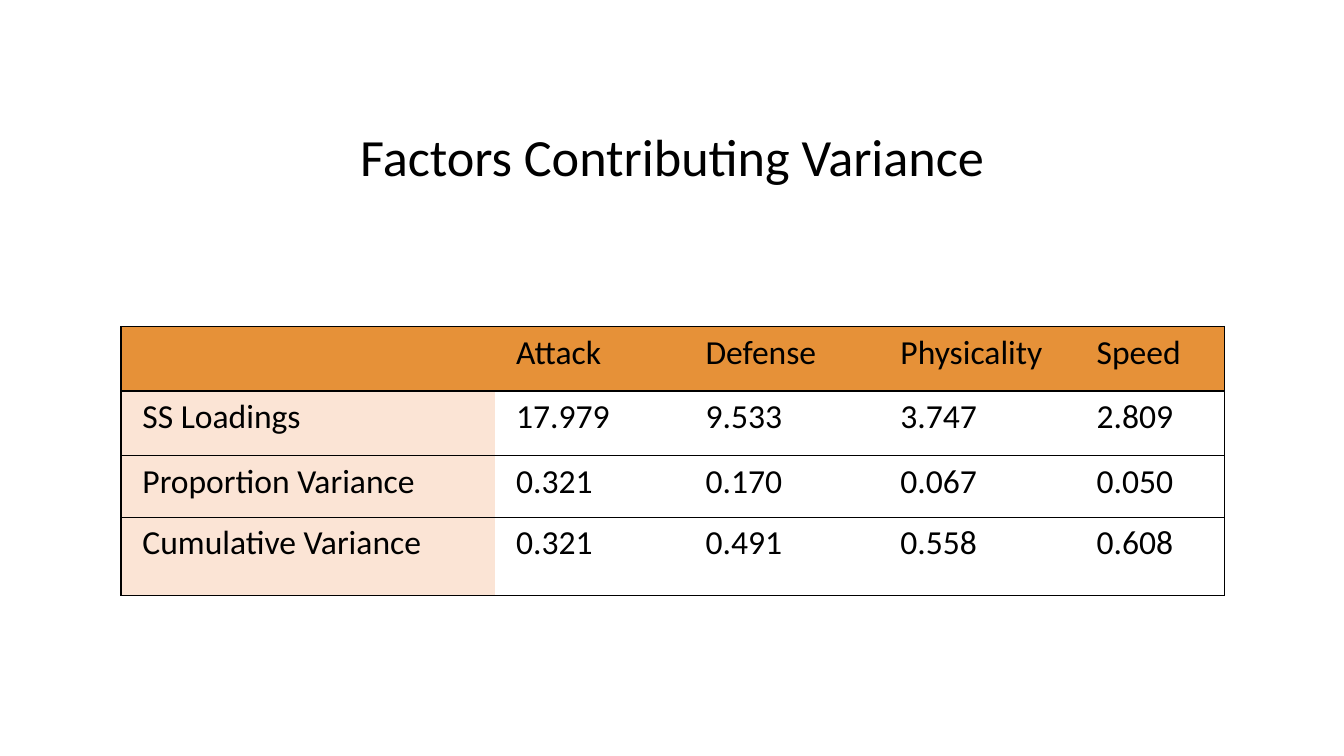
from dataclasses import dataclass

from lxml.etree import SubElement
from pptx import Presentation
from pptx.dml.color import RGBColor
from pptx.enum.text import MSO_ANCHOR, PP_ALIGN
from pptx.oxml.ns import qn
from pptx.util import Inches, Pt


@dataclass(frozen=True)
class Theme:
    font: str = "Calibri"
    title: int = 28
    body: int = 18
    line: int = 1
    ink: str = "000000"
    head: str = "E69138"
    label: str = "FBE4D5"


THEME = Theme()
COLS = [2.78, 1.41, 1.45, 1.46, 1.11]
ROWS = [0.48, 0.48, 0.46, 0.58]
DATA = [
    ["", "Attack", "Defense", "Physicality", "Speed"],
    ["SS Loadings", "17.979", "9.533", "3.747", "2.809"],
    ["Proportion Variance", "0.321", "0.170", "0.067", "0.050"],
    ["Cumulative Variance", "0.321", "0.491", "0.558", "0.608"],
]


def style(para, size, spacing):
    para.line_spacing = spacing
    para.font.name = THEME.font
    para.font.size = Pt(size)
    para.font.color.rgb = RGBColor.from_string(THEME.ink)


def inset(target, left, top, right, bottom):
    target.margin_left, target.margin_right = Inches(left), Inches(right)
    target.margin_top, target.margin_bottom = Inches(top), Inches(bottom)


def border(cell, sides):
    """Rule the given sides (of L, R, T, B) and clear the others."""
    props = cell._tc.get_or_add_tcPr()
    for side in "LRTB":
        line = SubElement(props, qn(f"a:ln{side}"), w=str(Pt(THEME.line)))
        if side in sides:
            fill = SubElement(line, qn("a:solidFill"))
            SubElement(fill, qn("a:srgbClr"), val=THEME.ink)
        else:
            SubElement(line, qn("a:noFill"))


def paint(cell, color):
    if color:
        cell.fill.solid()
        cell.fill.fore_color.rgb = RGBColor.from_string(color)
    else:
        cell.fill.background()


def add_title(slide, text, left, top, width, height):
    box = slide.shapes.add_textbox(
        Inches(left), Inches(top), Inches(width), Inches(height))
    frame = box.text_frame
    frame.word_wrap = True
    frame.vertical_anchor = MSO_ANCHOR.BOTTOM
    inset(frame, 0.07, 0.04, 0.07, 0.04)
    para = frame.paragraphs[0]
    para.text = text
    para.alignment = PP_ALIGN.CENTER
    style(para, THEME.title, 0.9)


def add_grid(slide, data, left, top):
    """Add the table, sized by the widths in COLS and heights in ROWS."""
    table = slide.shapes.add_table(
        len(ROWS), len(COLS), Inches(left), Inches(top),
        Inches(sum(COLS)), Inches(sum(ROWS))).table
    table.first_row = table.horz_banding = False
    for col, width in zip(table.columns, COLS):
        col.width = Inches(width)
    for row, height in zip(table.rows, ROWS):
        row.height = Inches(height)
    last = len(COLS) - 1
    for r, texts in enumerate(data):
        for c, text in enumerate(texts):
            cell = table.cell(r, c)
            inset(cell, 0.16, 0.02, 0.16, 0)
            border(cell, "TB" + "L" * (c == 0) + "R" * (c == last))
            paint(cell, THEME.head if r == 0 else THEME.label if c == 0 else None)
            para = cell.text_frame.paragraphs[0]
            if text:
                para.text = text
            style(para, THEME.body, 1.07)


def main():
    deck = Presentation()
    deck.slide_width = Inches(10)
    deck.slide_height = deck.slide_width * 9 // 16
    slide = deck.slides.add_slide(deck.slide_layouts[6])
    add_title(slide, "Factors Contributing Variance", 0.69, 0.46, 8.62, 0.98)
    add_grid(slide, DATA, 0.9, 2.43)
    deck.save("out.pptx")


if __name__ == "__main__":
    main()
